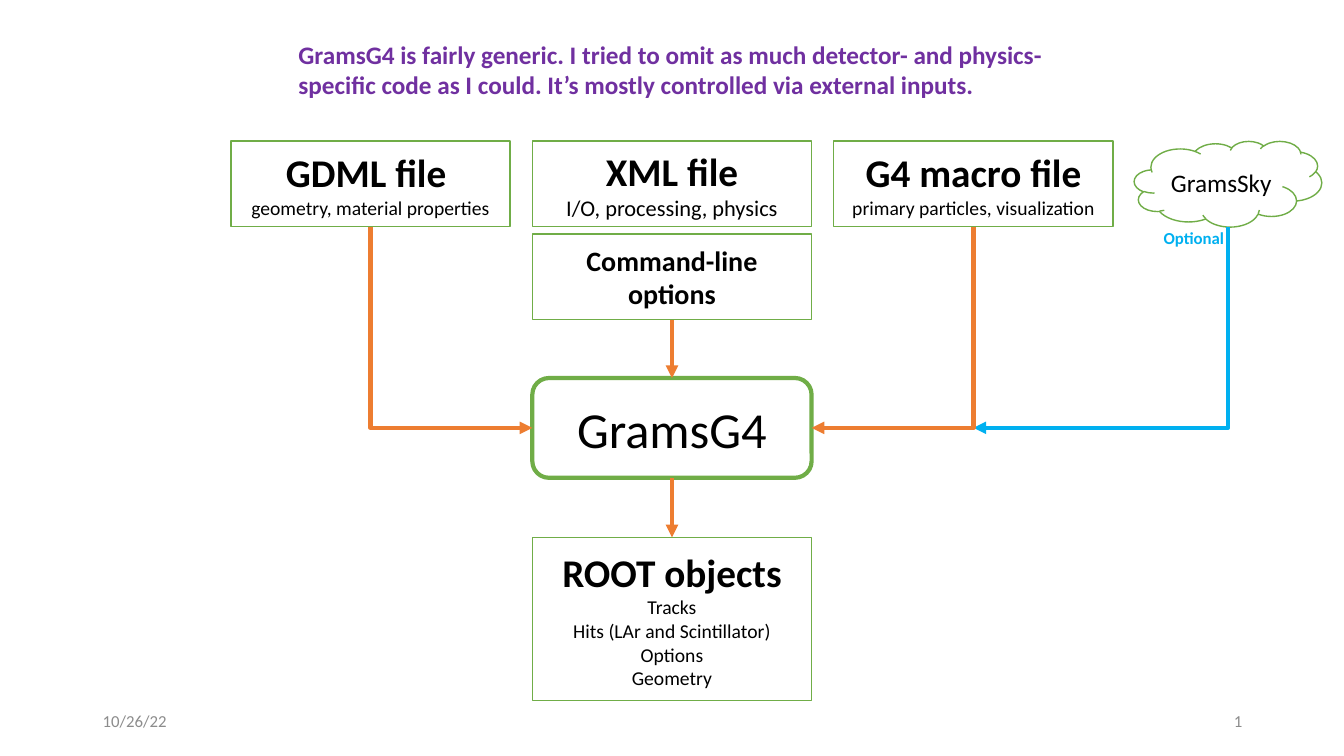
from lxml.etree import SubElement
from pptx import Presentation
from pptx.dml.color import RGBColor
from pptx.enum.shapes import MSO_CONNECTOR, MSO_SHAPE
from pptx.enum.text import MSO_ANCHOR, MSO_AUTO_SIZE, PP_ALIGN
from pptx.oxml.ns import qn
from pptx.util import Inches, Pt

GREEN, ORANGE, BLUE = "70AD47", "ED7D31", "00B0F0"
PURPLE, GRAY, BLACK, WHITE = "7030A0", "8C8C8C", "000000", "FFFFFF"
TOP, LEFT, BOTTOM, RIGHT = range(4)
CLOUD_BOTTOM = 1
COLUMN_WIDTH, COLUMN_STEP, INPUT_HEIGHT = 2.77, 2.99, 0.85


def color(value):
    return RGBColor.from_string(value)


def apply_format(target, values):
    for name, value in values.items():
        setattr(target, name, value)


def place(shape, box):
    names = ("left", "top", "width", "height")
    apply_format(shape, dict(zip(names, map(Inches, box))))


def write(shape, lines, align=PP_ALIGN.CENTER, anchor=MSO_ANCHOR.MIDDLE, ink=BLACK):
    frame = shape.text_frame
    apply_format(frame, {"word_wrap": True, "auto_size": MSO_AUTO_SIZE.NONE,
                         "vertical_anchor": anchor})
    for index, (text, size, bold) in enumerate(lines):
        para = frame.paragraphs[0] if index == 0 else frame.add_paragraph()
        para.alignment = align
        span = para.add_run()
        span.text = text
        apply_format(span.font, {"name": "Calibri", "size": Pt(size), "bold": bold})
        span.font.color.rgb = color(ink)


def add_label(page, box, line, align=PP_ALIGN.LEFT, anchor=MSO_ANCHOR.MIDDLE, ink=GRAY):
    label = page.shapes.add_textbox(*map(Inches, box))
    write(label, [line], align, anchor, ink)


def add_node(page, box, lines, kind=MSO_SHAPE.RECTANGLE, weight=1):
    node = page.shapes.add_shape(kind, *map(Inches, box))
    node.shadow.inherit = False
    node.fill.solid()
    node.fill.fore_color.rgb = color(WHITE)
    node.line.color.rgb = color(GREEN)
    node.line.width = Pt(weight)
    write(node, lines)
    return node


def add_arrow(page, tip, source, ink=ORANGE, bent=False):
    kind = MSO_CONNECTOR.ELBOW if bent else MSO_CONNECTOR.STRAIGHT
    arrow = page.shapes.add_connector(kind, *tip, *source)
    arrow.line.color.rgb = color(ink)
    arrow.line.width = Pt(3)
    properties = arrow._element.spPr
    if bent:
        properties.find(qn("a:prstGeom")).set("prst", "bentConnector2")
    SubElement(properties.find(qn("a:ln")), qn("a:headEnd"), type="triangle")
    SubElement(properties, qn("a:effectLst"))
    return arrow


def join(page, target, target_side, source, bent=False):
    arrow = add_arrow(page, (0, 0), (0, 0), bent=bent)
    arrow.begin_connect(target, target_side)
    arrow.end_connect(source, BOTTOM)


def add_heading(page, box):
    title = page.shapes.title
    place(title, box)
    write(title, [("GramsG4 is fairly generic. I tried to omit as much detector- and "
                   "physics-specific code as I could. It’s mostly controlled via "
                   "external inputs.", 18, True)],
          PP_ALIGN.LEFT, MSO_ANCHOR.TOP, PURPLE)


def add_inputs(page, left, top):
    contents = [("GDML file ", "geometry, material properties", 14),
                ("XML file", "I/O, processing, physics", 16),
                ("G4 macro file", "primary particles, visualization", 14)]
    files = [add_node(page, (left + column * COLUMN_STEP, top, COLUMN_WIDTH, INPUT_HEIGHT),
                      [(name, 28, True), (detail, size, False)])
             for column, (name, detail, size) in enumerate(contents)]
    options = add_node(page, (left + COLUMN_STEP, top + 0.92, COLUMN_WIDTH, INPUT_HEIGHT),
                       [("Command-line options", 20, True)])
    return files[0], options, files[2]


def add_output(page, box):
    details = ["Tracks", "Hits (LAr and Scintillator)", "Options", "Geometry"]
    return add_node(page, box, [("ROOT objects", 28, True)]
                    + [(detail, 14, False) for detail in details])


def add_optional_source(page, box, macro, engine):
    left, top, width, height = box
    cloud = add_node(page, box, [("GramsSky", 18, False)], MSO_SHAPE.CLOUD)
    corner = (macro.left + macro.width // 2, engine.top + engine.height // 2)
    bottom = (cloud.left + cloud.width // 2, cloud.top + cloud.height)
    arrow = add_arrow(page, corner, bottom, BLUE, bent=True)
    arrow.end_connect(cloud, CLOUD_BOTTOM)
    apply_format(arrow, {"end_x": bottom[0], "end_y": bottom[1]})
    add_label(page, (left - 0.34, top + height - 0.04, 1.33, 0.3),
              ("Optional", 12, True), PP_ALIGN.RIGHT, MSO_ANCHOR.TOP, BLUE)


def add_diagram(page, left, top):
    middle = left + COLUMN_STEP
    geometry, options, macro = add_inputs(page, left, top)
    engine = add_node(page, (middle, top + 2.35, COLUMN_WIDTH, 0.99),
                      [("GramsG4", 36, False)], MSO_SHAPE.ROUNDED_RECTANGLE, 3)
    output = add_output(page, (middle, top + 3.93, COLUMN_WIDTH, 1.62))
    add_optional_source(page, (left + 8.96, top, 1.86, INPUT_HEIGHT), macro, engine)
    join(page, engine, LEFT, geometry, bent=True)
    join(page, engine, TOP, options)
    join(page, engine, RIGHT, macro, bent=True)
    join(page, output, TOP, engine)


def add_footer(page, left, top):
    add_label(page, (left, top, 3, 0.4), ("10/26/22", 12, False))
    add_label(page, (left + 8.5, top, 3, 0.4), ("1", 12, False), PP_ALIGN.RIGHT)


def main():
    deck = Presentation()
    apply_format(deck, {"slide_width": Inches(13.33), "slide_height": Inches(7.5)})
    page = deck.slides.add_slide(deck.slide_layouts[5])
    add_heading(page, (2.86, 0.34, 7.61, 0.71))
    add_diagram(page, 2.29, 1.4)
    add_footer(page, 0.92, 6.95)
    deck.save("out.pptx")


if __name__ == "__main__":
    main()
